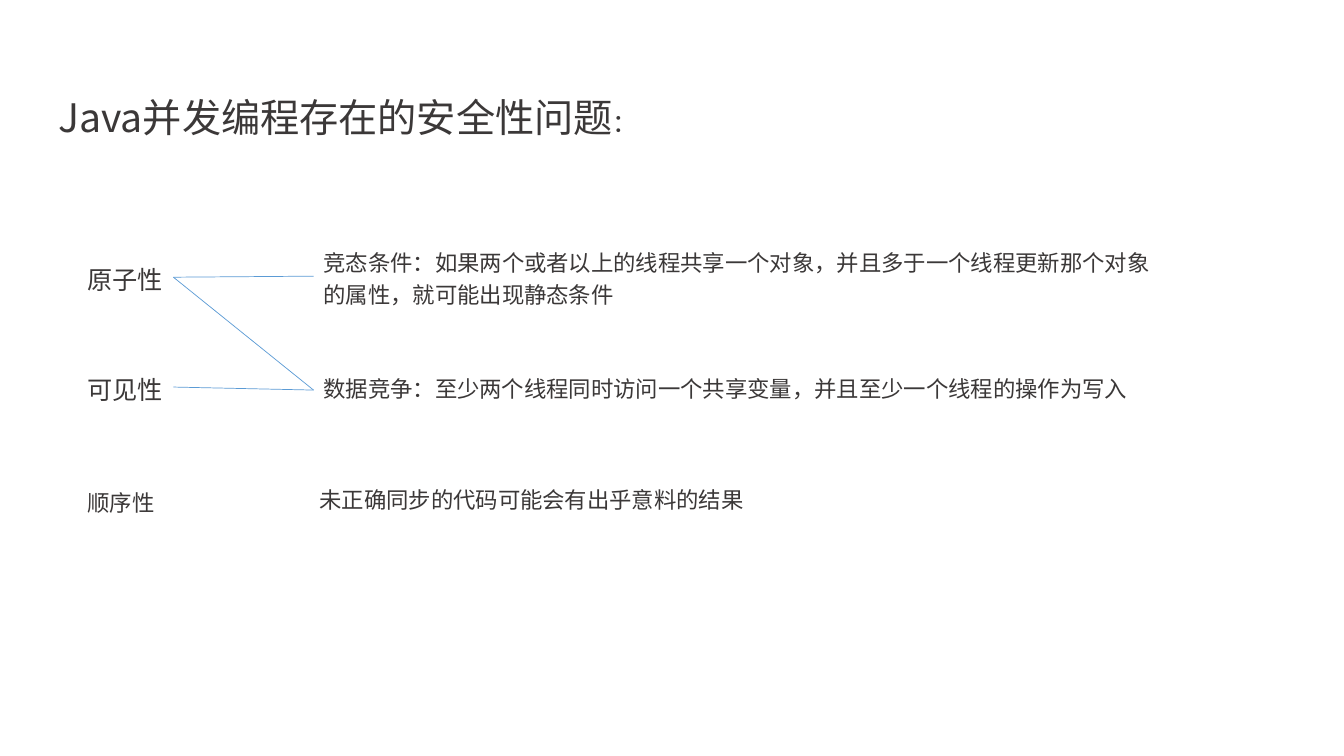
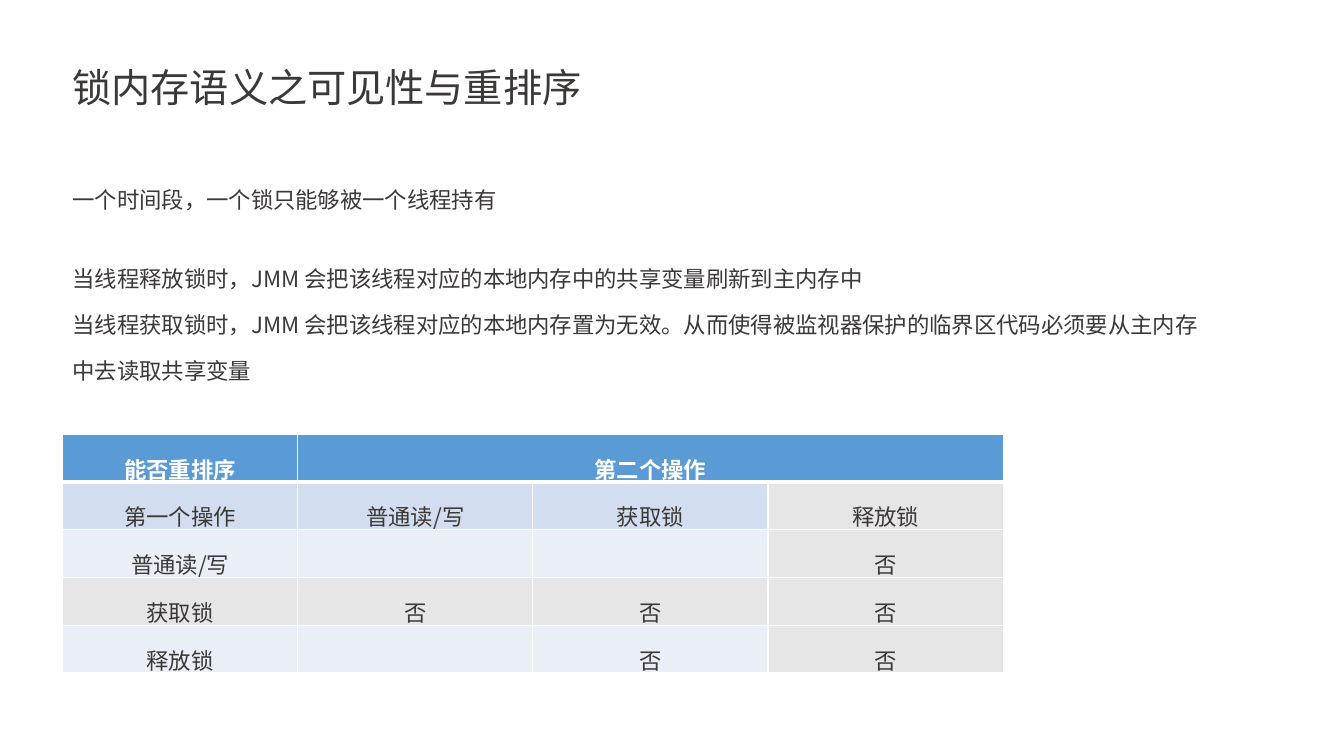
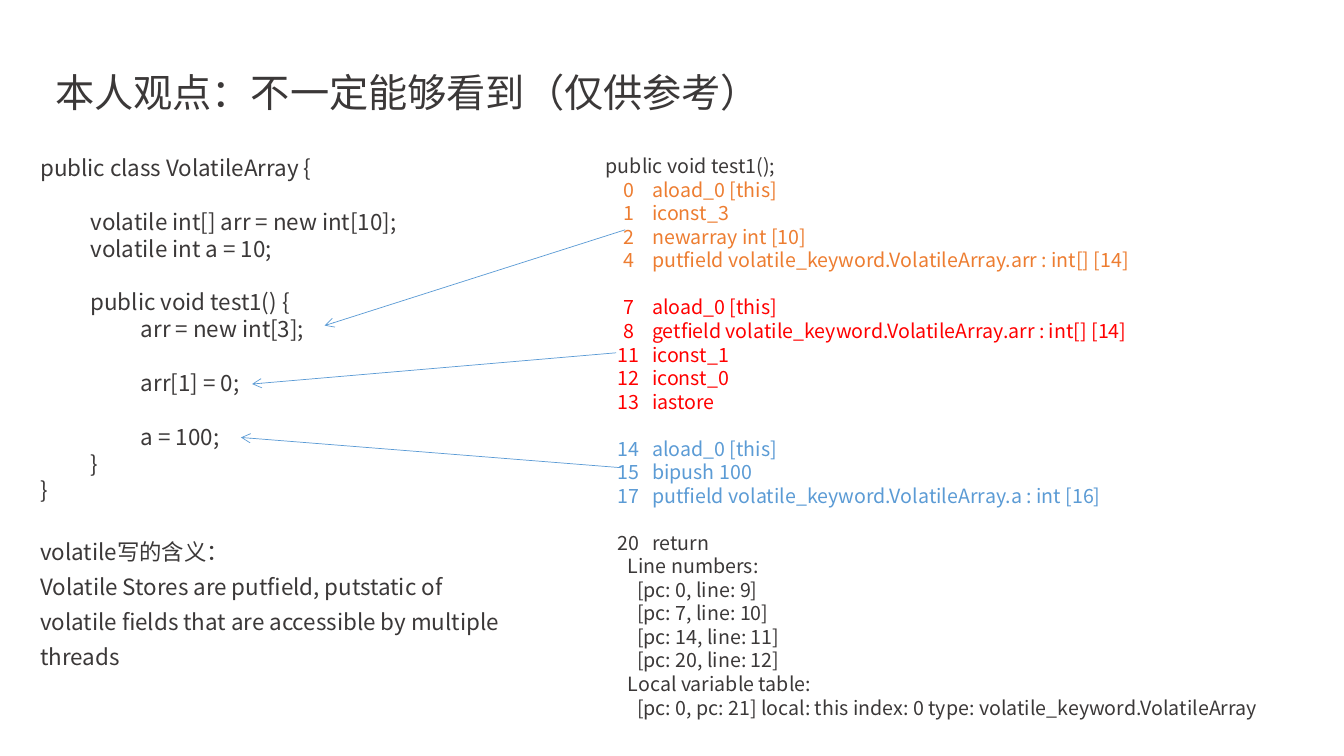
import dataclasses

import lxml.etree
import pptx
import pptx.dml.color
import pptx.enum.shapes
import pptx.enum.text
import pptx.oxml
import pptx.oxml.ns
import pptx.util

Inches = pptx.util.Inches
Pt = pptx.util.Pt


@dataclasses.dataclass(frozen=True)
class Theme:
    """Colours, font and type sizes shared by all slides."""
    font: str = "Noto Sans CJK SC"
    ink: str = "3B3838"
    white: str = "FFFFFF"
    blue: str = "5B9BD5"
    orange: str = "ED7D31"
    red: str = "FF0000"
    pale_blue: str = "D2DEEF"
    faint_blue: str = "EAEFF7"
    gray: str = "E7E6E6"
    title: int = 28
    label: int = 18
    body: int = 16
    small: int = 14
    line_height: float = 1.2
    rule: float = 0.5


THEME = Theme()


@dataclasses.dataclass
class Line:
    """One paragraph: its text and how it is set."""
    text: str
    size: int = THEME.body
    color: str = THEME.ink
    spacing: float = 1.0
    indent: float = 0
    tab: float = 0
    gap_before: bool = False


def rgb(color):
    """Turn a hex string into a colour."""
    return pptx.dml.color.RGBColor.from_string(color)


def add_child(parent, tag, **attributes):
    """Append a DrawingML element to a parent element."""
    child = lxml.etree.SubElement(parent, pptx.oxml.ns.qn(tag))
    for name, value in attributes.items():
        child.set(name, str(value))
    return child


def add_run(paragraph, text, size, color=THEME.ink, bold=False):
    """Add one run in the theme font, for Latin and Chinese alike."""
    run = paragraph.add_run()
    run.text = text
    run.font.name = THEME.font
    run.font.size = Pt(size)
    run.font.bold = bold
    run.font.color.rgb = rgb(color)
    add_child(run.font._element, "a:ea", typeface=THEME.font)


def add_line(paragraph, line):
    """Set one paragraph from its Line."""
    paragraph.line_spacing = line.spacing
    if line.gap_before:
        paragraph.space_before = Pt(line.size * THEME.line_height)
    properties = paragraph._p.get_or_add_pPr()
    properties.set("marL", "0")
    properties.set("indent", str(Inches(line.indent)))
    if line.tab:
        tabs = add_child(properties, "a:tabLst")
        add_child(tabs, "a:tab", pos=Inches(line.tab), algn="l")
    add_run(paragraph, line.text, line.size, line.color)


def add_text(slide, box, lines, wrap=True):
    """Add a text box with one paragraph for each line."""
    shape = slide.shapes.add_textbox(*map(Inches, box))
    frame = shape.text_frame
    frame.word_wrap = wrap
    frame.auto_size = pptx.enum.text.MSO_AUTO_SIZE.SHAPE_TO_FIT_TEXT
    for index, line in enumerate(lines):
        paragraph = frame.add_paragraph() if index else frame.paragraphs[0]
        add_line(paragraph, line)
    return shape


def add_title(slide, box, text, spacing=1.0):
    """Add the slide title."""
    return add_text(slide, box, [Line(text, THEME.title, spacing=spacing)], wrap=False)


def add_link(slide, start, end, arrow=False):
    """Draw a thin straight line, with an open arrowhead on request."""
    connector = slide.shapes.add_connector(
        pptx.enum.shapes.MSO_CONNECTOR.STRAIGHT, *map(Inches, start + end))
    connector.line.color.rgb = rgb(THEME.blue)
    connector.line.width = Pt(THEME.rule)
    if arrow:
        add_child(connector.line._get_or_add_ln(), "a:tailEnd", type="arrow")
    add_child(connector._element.spPr, "a:effectLst")


def style_cell(cell, fill, bottom=1):
    """Give a table cell white borders and a plain fill."""
    properties = cell._tc.get_or_add_tcPr()
    for side, width in (("L", 1), ("R", 1), ("T", 1), ("B", bottom)):
        border = add_child(properties, "a:ln" + side, w=Pt(width))
        add_child(add_child(border, "a:solidFill"), "a:srgbClr", val=THEME.white)
    cell.fill.solid()
    cell.fill.fore_color.rgb = rgb(fill)
    cell.vertical_anchor = pptx.enum.text.MSO_ANCHOR.MIDDLE


def add_reorder_table(slide, box, row_heights, rows, fills):
    """Add the table of allowed reorderings under a merged header."""
    table = slide.shapes.add_table(len(rows), len(rows[0]), *map(Inches, box)).table
    table.horz_banding = False
    for row, height in zip(table.rows, row_heights):
        row.height = Inches(height)
    table.cell(0, 1).merge(table.cell(0, 3))
    for row_index, (texts, colors) in enumerate(zip(rows, fills)):
        header = row_index == 0
        for column_index, (text, fill) in enumerate(zip(texts, colors)):
            cell = table.cell(row_index, column_index)
            style_cell(cell, fill, bottom=3 if header else 1)
            if text:
                paragraph = cell.text_frame.paragraphs[0]
                paragraph.alignment = pptx.enum.text.PP_ALIGN.CENTER
                paragraph.line_spacing = 1.4
                add_run(paragraph, text, THEME.body,
                        THEME.white if header else THEME.ink, header)


def instructions(color, rows):
    """Lay out numbered bytecode, the number followed by a tab."""
    lines = []
    for number, code in rows:
        digits = len(str(number))
        lines.append(Line(f"{number}\t{code}", THEME.small, color,
                          indent=0.28 - 0.06 * digits, tab=0.35 + 0.06 * digits,
                          gap_before=not lines and number > 0))
    return lines


def build_safety_slide(slide):
    """Safety problems of concurrent programming."""
    title = add_title(slide, (0.48, 0.6, 5.89, 1.33), "Java并发编程存在的安全性问题", 1.6)
    add_run(title.text_frame.paragraphs[0], ":".replace(":", "："), THEME.label)

    for top, height, text, size, spacing in (
            (2.54, 0.43, "原子性", THEME.label, 1.1),
            (3.63, 0.43, "可见性", THEME.label, 1.1),
            (4.72, 0.45, "顺序性", THEME.body, 1.3)):
        add_text(slide, (0.77, top, 0.95, height), [Line(text, size, spacing=spacing)])

    add_text(slide, (3.11, 2.37, 8.42, 0.74), [Line(
        "竞态条件：如果两个或者以上的线程共享一个对象，并且多于一个线程更新那个对象"
        "的属性，就可能出现静态条件", spacing=1.2)])
    add_text(slide, (3.11, 3.67, 8.2, 0.39), [Line(
        "数据竞争：至少两个线程同时访问一个共享变量，并且至少一个线程的操作为写入")], wrap=False)
    add_text(slide, (3.07, 4.77, 4.42, 0.39), [Line(
        "未正确同步的代码可能会有出乎意料的结果")], wrap=False)

    atomicity, visibility = (1.72, 2.75), (1.72, 3.84)
    race_condition, data_race = (3.11, 2.74), (3.11, 3.87)
    add_link(slide, atomicity, race_condition)
    add_link(slide, atomicity, data_race)
    add_link(slide, visibility, data_race)


def build_lock_slide(slide):
    """Lock semantics: visibility and reordering."""
    add_title(slide, (0.62, 0.58, 5.26, 0.6), "锁内存语义之可见性与重排序")
    add_text(slide, (0.62, 1.8, 4.42, 0.39),
             [Line("一个时间段，一个锁只能够被一个线程持有")], wrap=False)
    add_text(slide, (0.62, 2.4, 11.5, 1.46), [Line(text, spacing=1.7) for text in (
        "当线程释放锁时，JMM 会把该线程对应的本地内存中的共享变量刷新到主内存中",
        "当线程获取锁时，JMM 会把该线程对应的本地内存置为无效。从而使得被监视器保护的"
        "临界区代码必须要从主内存中去读取共享变量")])

    access, acquire, release, no = "普通读/写", "获取锁", "释放锁", "否"
    rows = [
        ("能否重排序", "第二个操作", "", ""),
        ("第一个操作", access, acquire, release),
        (access, "", "", no),
        (acquire, no, no, no),
        (release, "", no, no),
    ]
    fills = [
        [THEME.blue] * 4,
        [THEME.pale_blue] * 3 + [THEME.gray],
        [THEME.faint_blue] * 3 + [THEME.gray],
        [THEME.gray] * 4,
        [THEME.faint_blue] * 3 + [THEME.gray],
    ]
    add_reorder_table(slide, (0.62, 4.31, 9.33, 2.08),
                      (0.42, 0.42, 0.47, 0.42, 0.42), rows, fills)


def build_volatile_slide(slide):
    """Source code of a volatile array beside its bytecode."""
    add_title(slide, (0.45, 0.63, 7.2, 0.6), "本人观点：不一定能够看到（仅供参考）")
    source = (
        (0, "public class VolatileArray {", False),
        (1, "volatile int[] arr = new int[10];", True),
        (1, "volatile int a = 10;", False),
        (1, "public void test1() {", True),
        (2, "arr = new int[3];", False),
        (2, "arr[1] = 0;", True),
        (2, "a = 100;", True),
        (1, "}", False),
        (0, "}", False),
    )
    add_text(slide, (0.3, 1.48, 4.88, 3.59),
             [Line(text, indent=0.5 * depth, gap_before=gap) for depth, text, gap in source])
    add_text(slide, (0.3, 5.21, 4.88, 1.49), [Line(text, spacing=1.3) for text in (
        "volatile写的含义：",
        "Volatile Stores are putfield, putstatic of volatile fields "
        "that are accessible by multiple threads")])

    array_field = "volatile_keyword.VolatileArray.arr : int[] [14]"
    bytecode = [Line("public void test1();", THEME.small, indent=0.04)]
    bytecode += instructions(THEME.orange, (
        (0, "aload_0 [this]"), (1, "iconst_3"), (2, "newarray int [10]"),
        (4, "putfield " + array_field)))
    bytecode += instructions(THEME.red, (
        (7, "aload_0 [this]"), (8, "getfield " + array_field),
        (11, "iconst_1"), (12, "iconst_0"), (13, "iastore")))
    bytecode += instructions(THEME.blue, (
        (14, "aload_0 [this]"), (15, "bipush 100"),
        (17, "putfield volatile_keyword.VolatileArray.a : int [16]")))
    bytecode += instructions(THEME.ink, ((20, "return"),))
    bytecode += [Line(text, THEME.small, indent=indent) for indent, text in (
        (0.26, "Line numbers:"),
        (0.35, "[pc: 0, line: 9]"),
        (0.35, "[pc: 7, line: 10]"),
        (0.35, "[pc: 14, line: 11]"),
        (0.35, "[pc: 20, line: 12]"),
        (0.26, "Local variable table:"),
        (0.35, "[pc: 0, pc: 21] local: this index: 0 type: volatile_keyword.VolatileArray"))]
    add_text(slide, (5.87, 1.48, 7.24, 5.72), bytecode)

    for start, end in (((6.2, 2.28), (3.22, 3.23)),
                       ((6.11, 3.5), (2.5, 3.81)),
                       ((6.16, 4.64), (2.39, 4.34))):
        add_link(slide, start, end, arrow=True)


def main():
    """Build the slides and save the presentation."""
    presentation = pptx.Presentation()
    presentation.slide_width = Inches(13.33)
    presentation.slide_height = Inches(7.5)
    blank = presentation.slide_layouts[6]
    for build in (build_safety_slide, build_lock_slide, build_volatile_slide):
        build(presentation.slides.add_slide(blank))
    presentation.save("out.pptx")


main()
